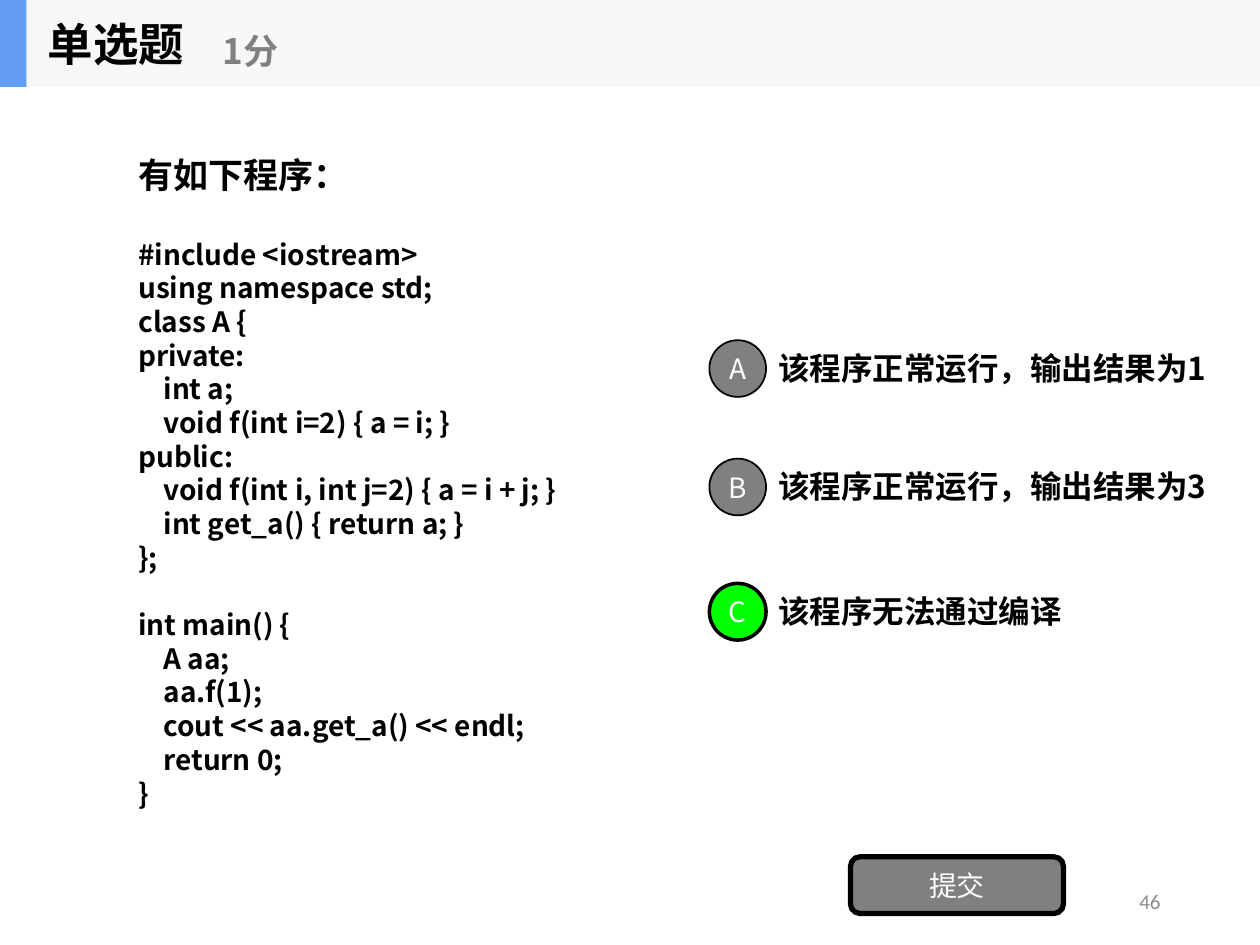
from pptx import Presentation
from pptx import util as u
from pptx.dml.color import RGBColor
from pptx.enum import shapes, text
from pptx.oxml import parse_xml
from pptx.oxml.ns import nsdecls

INK = {"black": "000000", "white": "FFFFFF", "gray": "808080", "pale": "8C8C8C",
       "band": "F6F7F8", "blue": "639EF4", "green": "00FF00"}
LEFT, MID, RIGHT = text.PP_ALIGN.LEFT, text.PP_ALIGN.CENTER, text.PP_ALIGN.RIGHT
KIND = shapes.MSO_SHAPE

CODE = """#include <iostream>
using namespace std;
class A {
private:
    int a;
    void f(int i=2) { a = i; }
public:
    void f(int i, int j=2) { a = i + j; }
    int get_a() { return a; }
};

int main() {
    A aa;
    aa.f(1);
    cout << aa.get_a() << endl;
    return 0;
}"""


class Quiz:
    font = "Noto Sans CJK SC"

    def __init__(self, deck):
        self.slide = deck.slides.add_slide(deck.slide_layouts[5])

    def run(self, para, words, size, ink="black", bold=True, font=None):
        run = para.add_run()
        run.text = words
        face = run.font
        face.name = font or self.font
        face.size, face.bold = u.Pt(size), bold
        face.color.rgb = RGBColor.from_string(INK[ink])
        face.latin = None
        run._r.get_or_add_rPr().append(
            parse_xml(f'<a:ea {nsdecls("a")} typeface="{self.font}"/>'))

    def frame(self, shape, align=LEFT, wrap=False):
        frame = shape.text_frame
        frame.word_wrap = wrap
        frame.auto_size = text.MSO_AUTO_SIZE.NONE
        frame.vertical_anchor = text.MSO_ANCHOR.MIDDLE
        para = frame.paragraphs[0]
        para.alignment = align
        return para

    def title(self, words, box, size):
        shape = self.slide.shapes.title
        shape.left, shape.top, shape.width, shape.height = map(u.Inches, box)
        self.run(self.frame(shape), words, size)
        shape.element.getparent().append(shape.element)

    def label(self, words, box, size, align=LEFT, wrap=False, **style):
        shape = self.slide.shapes.add_textbox(*map(u.Inches, box))
        self.run(self.frame(shape, align, wrap), words, size, **style)
        return shape

    def block(self, kind, box, fill, line=0, words="", size=16):
        shape = self.slide.shapes.add_shape(kind, *map(u.Inches, box))
        shape.shadow.inherit = False
        shape.fill.solid()
        shape.fill.fore_color.rgb = RGBColor.from_string(INK[fill])
        if line:
            shape.line.color.rgb = RGBColor.from_string(INK["black"])
            shape.line.width = u.Pt(line)
        else:
            shape.line.fill.background()
        if words:
            para = self.frame(shape, MID)
            frame = shape.text_frame
            frame.margin_left = frame.margin_right = 0
            frame.margin_top = frame.margin_bottom = 0
            self.run(para, words, size, "white", False)

    def code(self, head, body, box):
        shape = self.label(head, box, 20, wrap=True)
        frame = shape.text_frame
        frame.paragraphs[0].line_spacing = u.Pt(24)
        gap = 24
        for line in body.splitlines():
            if not line:
                gap = 19.25
                continue
            para = frame.add_paragraph()
            para.line_spacing = u.Pt(19.25)
            para.space_before = u.Pt(gap)
            gap = 0
            if line.startswith(" "):
                para._p.get_or_add_pPr().set("marL", str(u.Inches(0.2)))
            self.run(para, line.strip(), 16)

    def choice(self, mark, words, top, wide, fill="gray", line=1):
        self.label(words, (6.08, top, wide, 0.7), 18)
        self.block(KIND.OVAL, (5.63, top + 0.13, 0.45, 0.45), fill, line, mark)


def main():
    deck = Presentation()
    deck.slide_width, deck.slide_height = u.Inches(10), u.Inches(7.5)
    quiz = Quiz(deck)
    quiz.label("46", (7.06, 6.95, 2.25, 0.4), 12, RIGHT, True,
               ink="pale", bold=False, font="Calibri")
    quiz.code("有如下程序：", CODE, (1, 2.65, 8, 2.34))
    quiz.choice("A", "该程序正常运行，输出结果为1", 2.57, 3.14)
    quiz.choice("B", "该程序正常运行，输出结果为3", 3.51, 3.14)
    quiz.choice("C", "该程序无法通过编译", 4.5, 1.99, "green", 2)
    quiz.block(KIND.ROUNDED_RECTANGLE, (6.75, 6.8, 1.69, 0.45), "gray", 3, "提交")
    quiz.block(KIND.RECTANGLE, (0, 0, 10, 0.69), "band")
    quiz.block(KIND.RECTANGLE, (0, 0, 0.21, 0.69), "blue")
    quiz.title("单选题", (0.28, 0, 2.08, 0.69), 26)
    quiz.label("1分", (1.67, 0.12, 2.5, 0.56), 20, ink="gray")
    deck.save("out.pptx")


if __name__ == "__main__":
    main()
